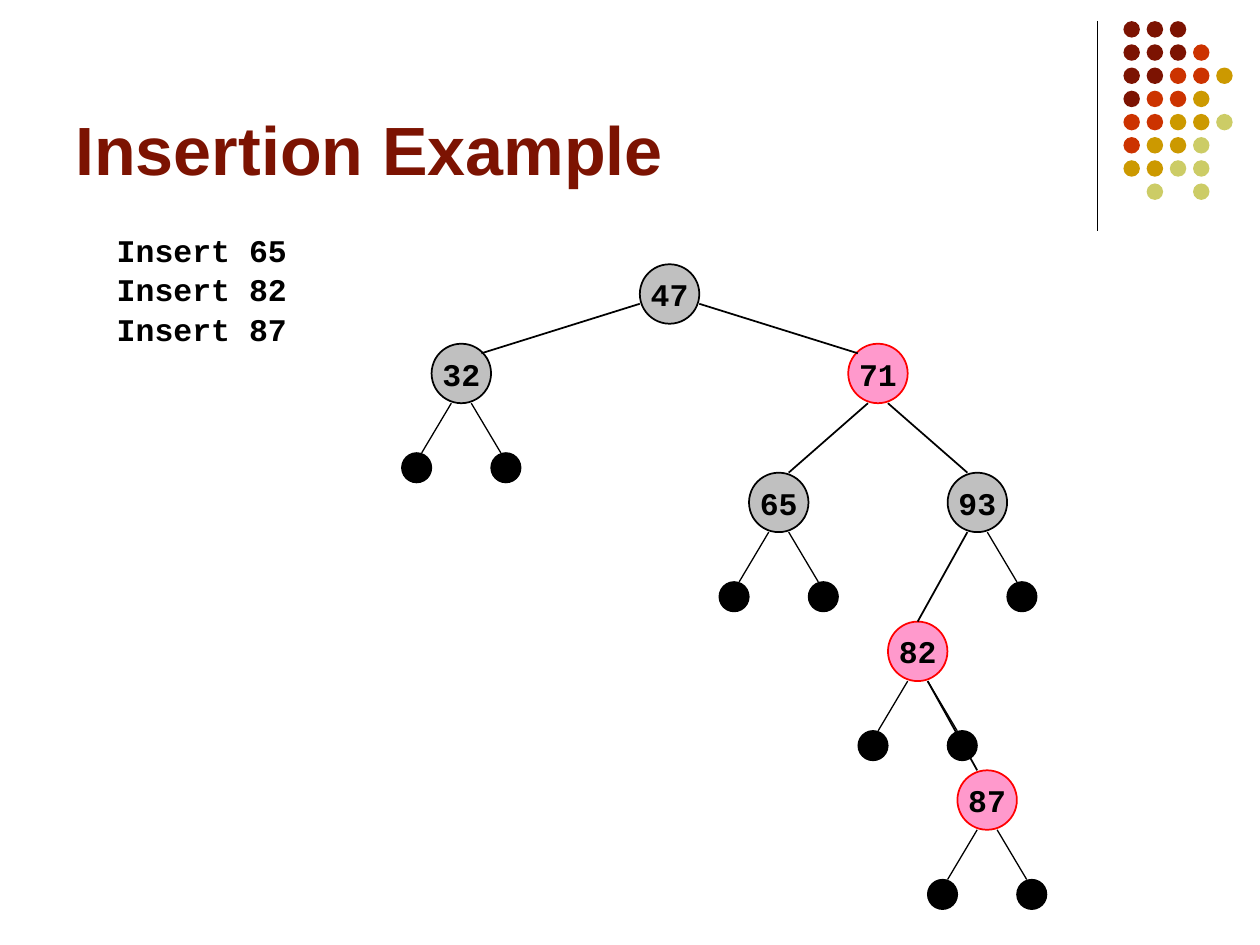
import pptx
import pptx.dml.color
import pptx.enum.shapes
import pptx.enum.text
import pptx.util
from lxml import etree

Pt = pptx.util.Pt
MIDDLE = pptx.enum.text.MSO_ANCHOR.MIDDLE
BOTTOM = pptx.enum.text.MSO_ANCHOR.BOTTOM
TOP = pptx.enum.text.MSO_ANCHOR.TOP

TITLE = "Insertion Example"
STEPS = ["Insert 65", "Insert 82", "Insert 87"]

DOT_COLORS = {"m": "7C1302", "r": "CC3300", "g": "CC9900", "y": "CCCC66"}
DOT_ROWS = ["mmm", "mmmr", "mmrrg", "mrrg", "rrggy", "rggy", "ggyy", " y y"]
DOT_LEFT, DOT_TOP, DOT_PITCH, DOT_SIZE = 642, 12.1, 13.25, 9.4

NODE_COLORS = {"black": ("C0C0C0", "000000"), "red": ("FF99CC", "FF0000")}
NODES = {
    "47": (382.6, 168, "black"),
    "32": (263.6, 213.4, "black"),
    "71": (501.7, 213.4, "red"),
    "65": (445, 287.1, "black"),
    "93": (558.5, 287.1, "black"),
    "82": (524.4, 372.2, "red"),
    "87": (564.1, 457.2, "red"),
}
NODE_RADIUS, LEAF_RADIUS = 17, 8.5
EDGES = [
    ("47", (-17, 5.6), "32", (11.5, -11.5)),
    ("47", (17, 5.6), "71", (-11.5, -11.5)),
    ("71", (-5.7, 17), "65", (5.7, -17)),
    ("71", (5.7, 17), "93", (-5.7, -17)),
    ("93", (-5.7, 17), "82", (0, -17)),
    ("82", (5.7, 17), "87", (-5.7, -17)),
]
LEFT, RIGHT = -1, 1
LEAVES = {
    "32": (LEFT, RIGHT),
    "65": (LEFT, RIGHT),
    "93": (RIGHT,),
    "82": (LEFT, RIGHT),
    "87": (LEFT, RIGHT),
}


def rgb(color):
    return pptx.dml.color.RGBColor.from_string(color)


def add_circle(slide, x, y, radius, fill, line=None, width=1):
    shape = slide.shapes.add_shape(
        pptx.enum.shapes.MSO_SHAPE.OVAL,
        Pt(x - radius), Pt(y - radius), Pt(2 * radius), Pt(2 * radius))
    shape.shadow.inherit = False
    shape.fill.solid()
    shape.fill.fore_color.rgb = rgb(fill)
    if line:
        shape.line.color.rgb = rgb(line)
        shape.line.width = Pt(width)
    else:
        shape.line.fill.background()
    return shape


def add_line(slide, x1, y1, x2, y2, width):
    line = slide.shapes.add_connector(
        pptx.enum.shapes.MSO_CONNECTOR.STRAIGHT, Pt(x1), Pt(y1), Pt(x2), Pt(y2))
    line.line.color.rgb = rgb("000000")
    line.line.width = Pt(width)
    etree.SubElement(line._element.spPr, pptx.oxml.ns.qn("a:effectLst"))


def write(shape, text, size, font_name, color, anchor, align):
    frame = shape.text_frame
    frame.text = text
    frame.vertical_anchor = anchor
    paragraph = frame.paragraphs[0]
    paragraph.alignment = align
    font = paragraph.runs[0].font
    font.size = Pt(size)
    font.name = font_name
    font.bold = True
    font.color.rgb = rgb(color)


def add_text(slide, left, top, width, height, *style):
    box = slide.shapes.add_textbox(Pt(left), Pt(top), Pt(width), Pt(height))
    box.text_frame.word_wrap = True
    write(box, *style, pptx.enum.text.PP_ALIGN.LEFT)


def add_decoration(slide):
    add_line(slide, 627, 12, 627, 132, 0.75)
    radius = DOT_SIZE / 2
    for row, dots in enumerate(DOT_ROWS):
        for column, dot in enumerate(dots):
            if dot in DOT_COLORS:
                add_circle(slide, DOT_LEFT + column * DOT_PITCH + radius,
                           DOT_TOP + row * DOT_PITCH + radius, radius, DOT_COLORS[dot])


def add_tree(slide):
    for label, (x, y, kind) in NODES.items():
        node = add_circle(slide, x, y, NODE_RADIUS, *NODE_COLORS[kind])
        frame = node.text_frame
        frame.margin_left = frame.margin_right = 0
        frame.margin_top = frame.margin_bottom = 0
        frame.word_wrap = False
        write(node, label, 18, "Courier New", "000000", MIDDLE,
              pptx.enum.text.PP_ALIGN.CENTER)
    for parent, (start_x, start_y), child, (end_x, end_y) in EDGES:
        x1, y1, _ = NODES[parent]
        x2, y2, _ = NODES[child]
        add_line(slide, x1 + start_x, y1 + start_y, x2 + end_x, y2 + end_y, 1)
    for parent, sides in LEAVES.items():
        x, y, _ = NODES[parent]
        for side in sides:
            add_line(slide, x + side * 5.7, y + NODE_RADIUS, x + side * 22.6, y + 45.4, 0.75)
            add_circle(slide, x + side * 25.5, y + 53.9, LEAF_RADIUS, "000000", "000000", 0.75)


def main():
    presentation = pptx.Presentation()
    presentation.slide_width = Pt(720)
    presentation.slide_height = Pt(540)
    slide = presentation.slides.add_slide(presentation.slide_layouts[6])
    add_decoration(slide)
    add_text(slide, 36, 9.4, 594, 102, TITLE, 39, "Arial", "7C1302", BOTTOM)
    for index, step in enumerate(STEPS):
        add_text(slide, 59.6, 128.2 + index * 22.7, 187, 28.8,
                 step, 18, "Courier New", "000000", TOP)
    add_tree(slide)
    presentation.save("out.pptx")


if __name__ == "__main__":
    main()
